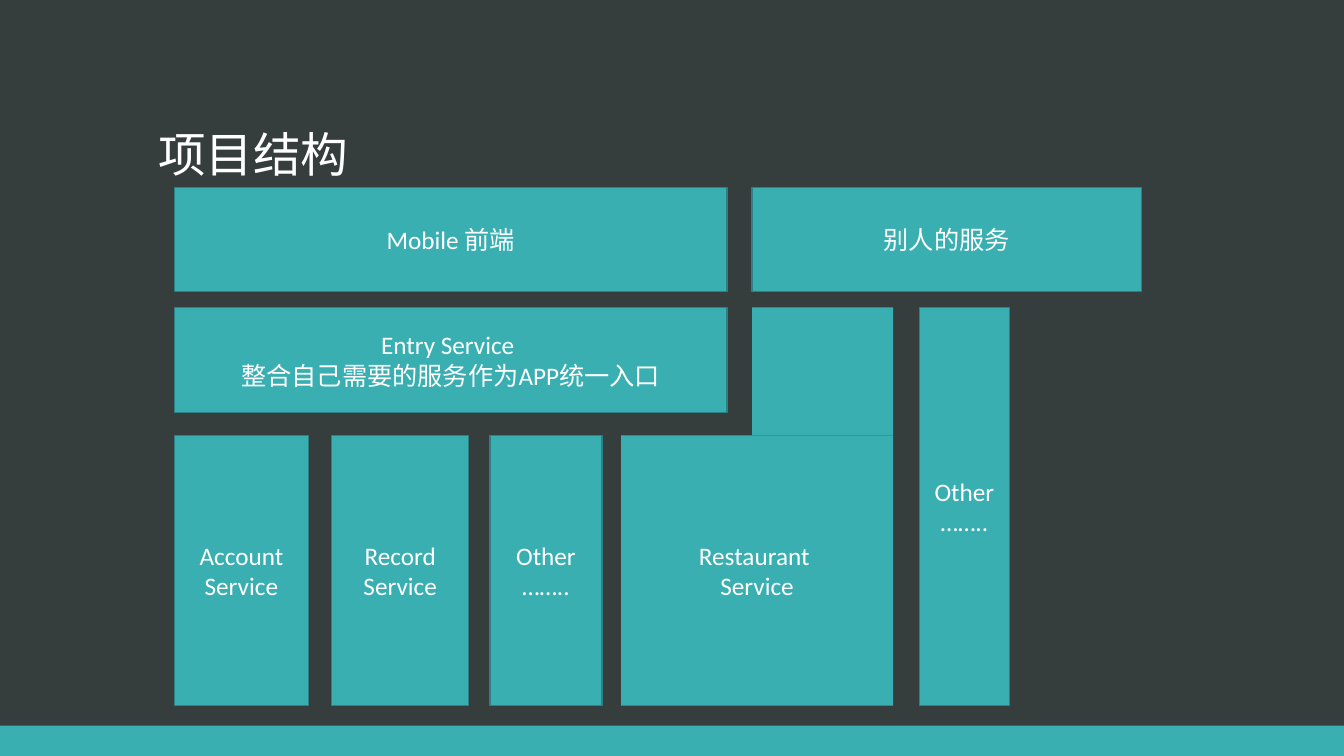
import pptx
import pptx.util
import pptx.dml.color
import pptx.enum.shapes
import pptx.enum.text
import pptx.oxml
import pptx.oxml.ns
from collections import namedtuple
from dataclasses import dataclass

Inches = pptx.util.Inches
Align = pptx.enum.text.PP_ALIGN
Anchor = pptx.enum.text.MSO_ANCHOR
Box = namedtuple("Box", "left top width height")


@dataclass(frozen=True)
class Theme:
    background: str = "363D3D"
    accent: str = "3AAFB2"
    border: str = "2B8184"
    text: str = "FFFFFF"
    latin: str = "Calibri"
    chinese: str = "Noto Sans CJK SC"
    title_size: int = 34
    label_size: int = 18
    border_width: int = 1


THEME = Theme()


def color(value):
    return pptx.dml.color.RGBColor.from_string(value)


def write(frame, text, size=THEME.label_size, font=THEME.latin,
          align=Align.CENTER, anchor=Anchor.MIDDLE, spacing=None):
    """Fill a text frame, one paragraph per line of text."""
    frame.text = text
    frame.word_wrap = True
    frame.auto_size = pptx.enum.text.MSO_AUTO_SIZE.NONE
    frame.vertical_anchor = anchor
    for para in frame.paragraphs:
        para.alignment = align
        para.line_spacing = spacing
        for span in para.runs:
            span.font.size = pptx.util.Pt(size)
            span.font.name = font
            span.font.color.rgb = color(THEME.text)
            # East Asian typeface, placed right after the Latin one
            east_asian = pptx.oxml.parse_xml(
                f'<a:ea {pptx.oxml.ns.nsdecls("a")} typeface="{THEME.chinese}"/>')
            span.font.fill  # keeps the fill ahead of the typefaces
            latin = span.font._element.find(pptx.oxml.ns.qn("a:latin"))
            latin.addnext(east_asian)


def add_block(page, box, text="", bordered=True):
    block = page.shapes.add_shape(pptx.enum.shapes.MSO_SHAPE.RECTANGLE,
                                  *(Inches(length) for length in box))
    block.shadow.inherit = False
    block.fill.solid()
    block.fill.fore_color.rgb = color(THEME.accent)
    if bordered:
        block.line.color.rgb = color(THEME.border)
        block.line.width = pptx.util.Pt(THEME.border_width)
    else:
        block.line.fill.background()
    if text:
        write(block.text_frame, text)


def add_title(page, box, text):
    title = page.shapes.title
    title.left, title.top, title.width, title.height = map(Inches, box)
    write(title.text_frame, text, size=THEME.title_size, font=THEME.chinese,
          align=Align.LEFT, anchor=Anchor.BOTTOM, spacing=0.9)


def add_architecture(page, box):
    """Front ends on top, the entry service below, back-end services at the foot."""
    bottom = box.top + box.height
    entry_top = box.top + 1.19
    service_top = box.top + 2.46
    service_height = bottom - service_top
    own_width = 5.48
    others_left = box.left + 5.73

    # Front end, other people's services and entry service
    add_block(page, Box(box.left, box.top, own_width, 1.03), "Mobile 前端")
    add_block(page, Box(others_left, box.top, box.left + box.width - others_left, 1.03),
              "别人的服务")
    add_block(page, Box(box.left, entry_top, own_width, 1.04),
              "Entry Service \n整合自己需要的服务作为APP统一入口")

    # Own services
    for offset, width, text in ((0, 1.33, "Account\nService"),
                                (1.56, 1.36, "Record\nService"),
                                (3.13, 1.11, "Other\n……..")):
        add_block(page, Box(box.left + offset, service_top, width, service_height), text)

    # Shared restaurant service: a wide block with a riser on its right side
    riser_width = 1.4
    shared = Box(box.left + 4.43, service_top, 2.7, service_height)
    add_block(page, shared, "Restaurant \nService", bordered=False)
    add_block(page, Box(others_left, entry_top, riser_width, service_top - entry_top),
              bordered=False)

    # Remaining external services
    add_block(page, Box(box.left + 7.39, entry_top, 0.89, bottom - entry_top),
              "Other\n……..")


def add_structure_page(deck, box):
    page = deck.slides.add_slide(deck.slide_layouts.get_by_name("Title Only"))
    page.background.fill.solid()
    page.background.fill.fore_color.rgb = color(THEME.background)
    bar_height = 0.3
    add_block(page, Box(box.left, box.top + box.height - bar_height, box.width, bar_height),
              bordered=False)
    add_title(page, Box(box.left + 1.47, box.top + 0.51, 10.4, 1.35), "项目结构")
    add_architecture(page, Box(box.left + 1.73, box.top + 1.86, 9.59, 5.14))


deck = pptx.Presentation()
slide_box = Box(0, 0, 13.33, 7.5)
deck.slide_width = Inches(slide_box.width)
deck.slide_height = Inches(slide_box.height)
add_structure_page(deck, slide_box)
deck.save("out.pptx")
